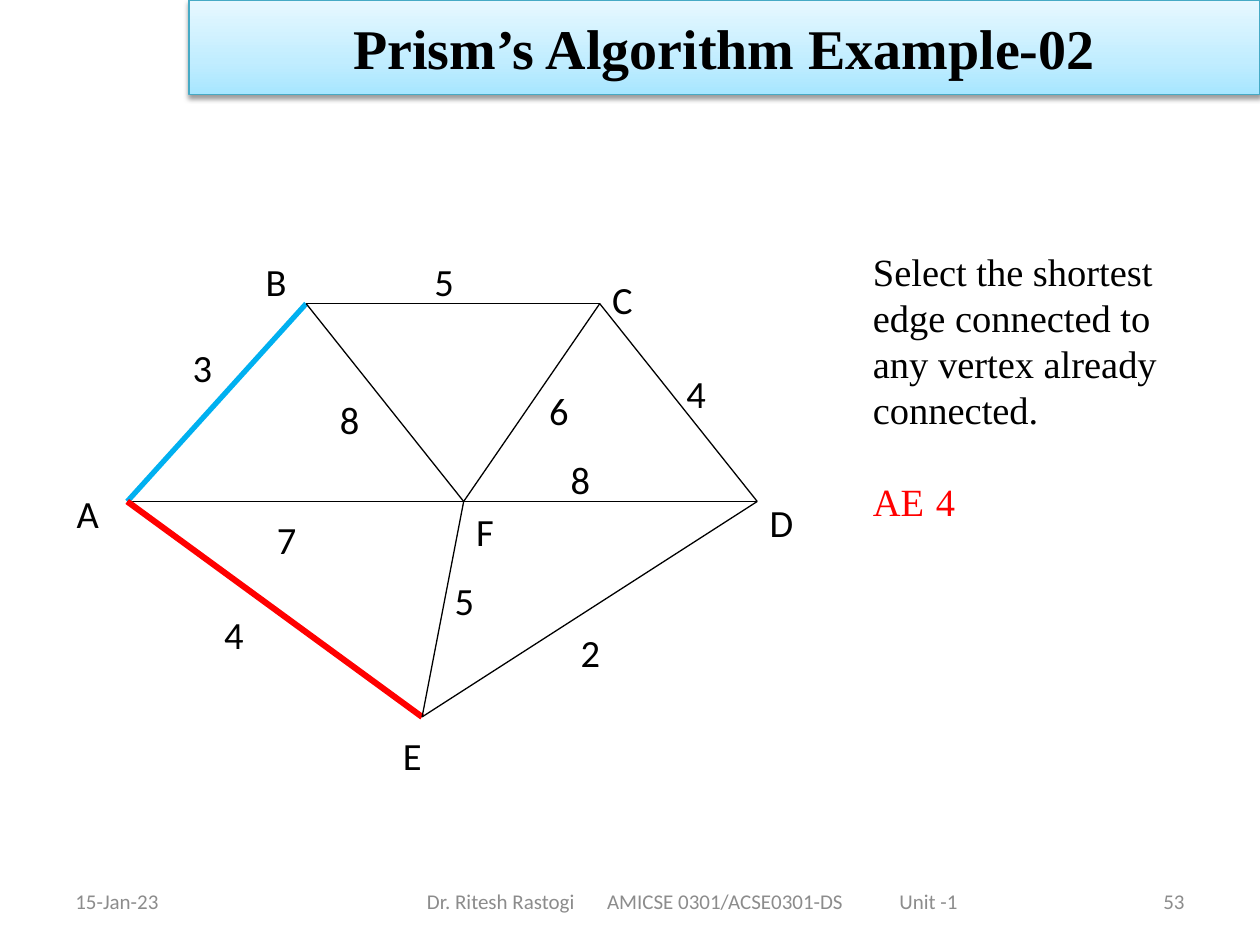
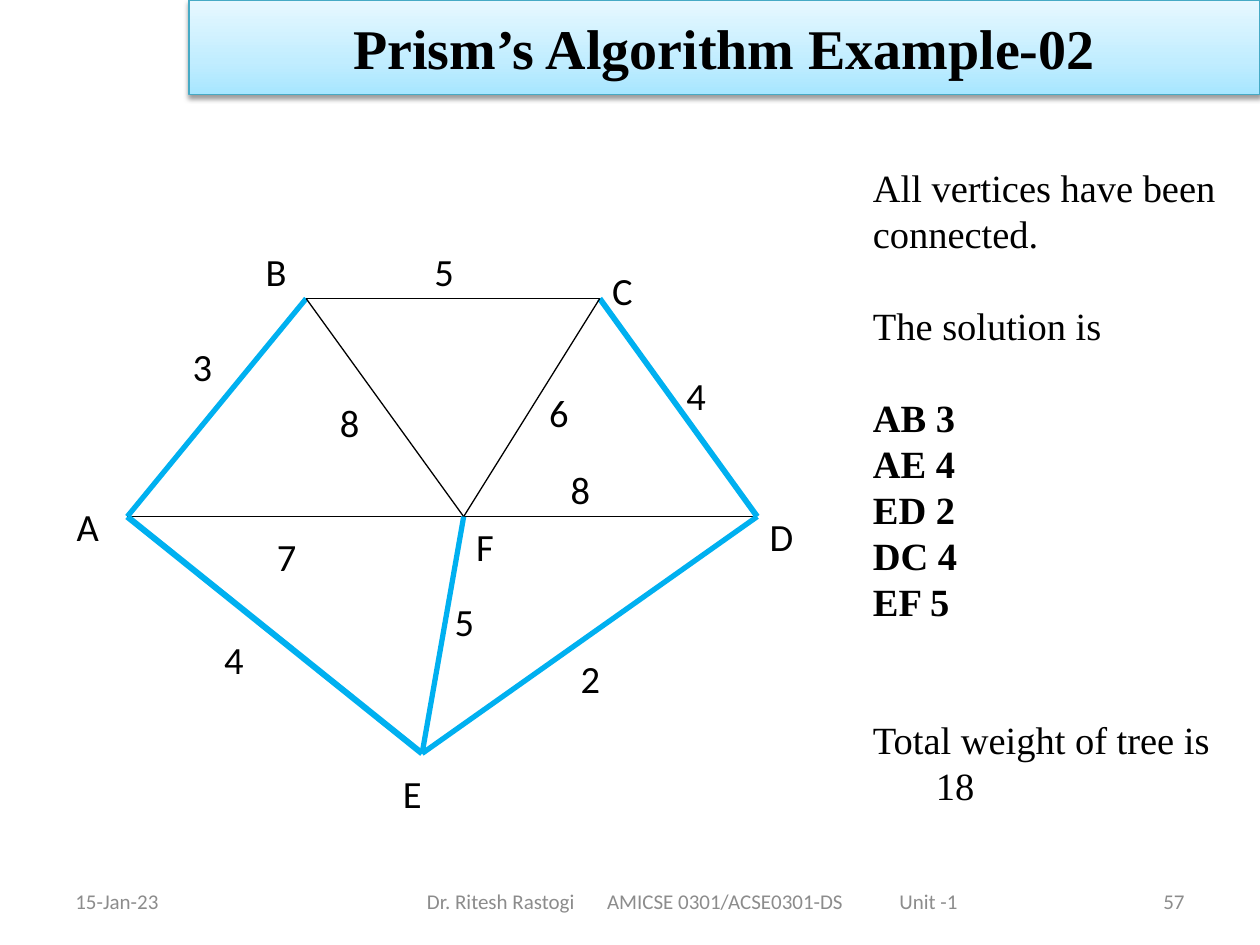
"""Build two slides that step through a minimum spanning tree example."""
import dataclasses
import typing

import lxml.etree
import pptx
import pptx.dml.color
import pptx.enum.shapes
import pptx.enum.text
import pptx.oxml.ns
import pptx.util

SCALE = 9144
BLACK, GREY, RED, SKY = "000000", "8C8C8C", "FF0000", "00B0F0"
BAND_LINE = "46AAC5"
BAND_STOPS = ((0, "A7E6FF"), (35, "C1EDFF"), (100, "E7F8FF"))
ALIGN = pptx.enum.text.PP_ALIGN
ANCHOR = pptx.enum.text.MSO_ANCHOR
LABEL_FONT = {"name": "Calibri", "size": pptx.util.Pt(22)}
FOOTER_FONT = {"name": "Calibri", "size": pptx.util.Pt(12)}
REMARK_FONT = {"name": "Times New Roman", "size": pptx.util.Pt(22)}
TITLE_FONT = {"name": "Times New Roman", "size": pptx.util.Pt(32), "bold": True}
REMARK_LINE = 26.3
REMARK_INDENT = 50
FOOTER_TOP, FOOTER_HEIGHT = 695, 40
FOOTER_TABS = (143, 375)
THIN = 0.75


class Area(typing.NamedTuple):
    left: int
    top: int
    width: int
    height: int


class Vertex(typing.NamedTuple):
    x: int
    y: int
    label_x: int
    label_y: int


class Edge(typing.NamedTuple):
    ends: str
    weight: int
    label_x: int
    label_y: int


class Stroke(typing.NamedTuple):
    colour: str
    width: float


class Remark(typing.NamedTuple):
    text: str
    blank_lines: int = 0
    bold: bool = False
    colour: str = BLACK


@dataclasses.dataclass
class Step:
    number: int
    graph_top: int
    stretch: float
    chosen: dict[str, Stroke]
    remark_area: Area
    remarks: list[Remark]


GRAPH_TOP = 200
VERTICES = {
    "A": Vertex(101, 398, 51, 384),
    "F": Vertex(368, 398, 368, 398),
    "B": Vertex(243, 241, 201, 200),
    "C": Vertex(476, 241, 476, 214),
    "D": Vertex(601, 398, 601, 391),
    "E": Vertex(335, 569, 310, 576),
}
EDGES = [
    Edge("AB", 3, 143, 268),
    Edge("BC", 5, 335, 200),
    Edge("CD", 4, 535, 289),
    Edge("AF", 7, 210, 405),
    Edge("FD", 8, 443, 357),
    Edge("BF", 8, 260, 309),
    Edge("FC", 6, 426, 302),
    Edge("AE", 4, 168, 480),
    Edge("EF", 5, 351, 453),
    Edge("ED", 2, 451, 494),
]
STEPS = [
    Step(
        53, 200, 1.0,
        {"AB": Stroke(SKY, 3), "AE": Stroke(RED, 3.5)},
        Area(683, 192, 292, 333),
        [
            Remark("Select the shortest"),
            Remark("edge connected to"),
            Remark("any vertex already"),
            Remark("connected."),
            Remark("AE\t4", 1, colour=RED),
        ],
    ),
    Step(
        57, 192, 1.1,
        {
            "AB": Stroke(SKY, 3),
            "CD": Stroke(SKY, 3.25),
            "AE": Stroke(SKY, 3.5),
            "EF": Stroke(SKY, 3),
            "ED": Stroke(SKY, 3),
        },
        Area(683, 125, 300, 565),
        [
            Remark("All vertices have been"),
            Remark("connected."),
            Remark("The solution is", 1),
            Remark("AB 3", 1, True),
            Remark("AE 4", bold=True),
            Remark("ED 2", bold=True),
            Remark("DC 4", bold=True),
            Remark("EF 5", bold=True),
            Remark("Total weight of tree is 18", 2),
        ],
    ),
]


def px(length: float) -> int:
    """Turn px into EMU."""
    return round(length) * SCALE


def rgb(colour: str) -> pptx.dml.color.RGBColor:
    """Turn a hex string into a colour."""
    return pptx.dml.color.RGBColor.from_string(colour)


def add_child(parent, tag: str, **attributes):
    """Append an XML child element with its attributes."""
    return lxml.etree.SubElement(
        parent, pptx.oxml.ns.qn(tag), {key: str(value) for key, value in attributes.items()}
    )


def write(para, text: str, font: dict, colour: str = BLACK) -> None:
    """Add a formatted span to a paragraph."""
    span = para.add_run()
    span.text = text
    for name, value in font.items():
        setattr(span.font, name, value)
    span.font.color.rgb = rgb(colour)


def add_box(page, area: Area, anchor=ANCHOR.TOP):
    """Add a wrapping text box and return its frame."""
    frame = page.shapes.add_textbox(*map(px, area)).text_frame
    frame.word_wrap = True
    frame.vertical_anchor = anchor
    return frame


def add_footer(page, left: int, width: int, text: str, align=ALIGN.LEFT, tabs=()) -> None:
    """Add one footer entry, with optional tab stops."""
    area = Area(left, FOOTER_TOP, width, FOOTER_HEIGHT)
    para = add_box(page, area, ANCHOR.MIDDLE).paragraphs[0]
    para.alignment = align
    if tabs:
        stops = add_child(para._p.get_or_add_pPr(), "a:tabLst")
        for stop in tabs:
            add_child(stops, "a:tab", pos=px(stop), algn="l")
    write(para, text, FOOTER_FONT, GREY)


def add_title(page, text: str) -> None:
    """Add the gradient title band with its soft shadow."""
    band = page.shapes.add_shape(
        pptx.enum.shapes.MSO_SHAPE.RECTANGLE, *map(px, Area(150, 0, 850, 75))
    )
    band.fill.gradient()
    band.fill.gradient_angle = 90
    stops = band._element.spPr.find(".//" + pptx.oxml.ns.qn("a:gsLst"))
    for stop in list(stops):
        stops.remove(stop)
    for percent, colour in BAND_STOPS:
        add_child(add_child(stops, "a:gs", pos=percent * 1000), "a:srgbClr", val=colour)
    band.line.color.rgb = rgb(BAND_LINE)
    band.line.width = pptx.util.Pt(THIN)
    band.shadow.inherit = False
    effects = band._element.spPr.find(pptx.oxml.ns.qn("a:effectLst"))
    shadow = add_child(
        effects, "a:outerShdw", blurRad=pptx.util.Pt(3.1), dist=pptx.util.Pt(1.6),
        dir=5400000, rotWithShape=0,
    )
    add_child(add_child(shadow, "a:srgbClr", val=BLACK), "a:alpha", val=38000)
    band.text_frame.vertical_anchor = ANCHOR.MIDDLE
    para = band.text_frame.paragraphs[0]
    para.alignment = ALIGN.CENTER
    write(para, text, TITLE_FONT)


def add_graph(page, step: Step) -> None:
    """Draw the weighted graph with the chosen edges highlighted."""
    def place(y: int) -> int:
        """Map a graph height onto this step."""
        return round(step.graph_top + (y - GRAPH_TOP) * step.stretch)

    for edge in EDGES:
        start, end = (VERTICES[name] for name in edge.ends)
        stroke = step.chosen.get(edge.ends, Stroke(BLACK, THIN))
        line = page.shapes.add_connector(
            pptx.enum.shapes.MSO_CONNECTOR.STRAIGHT,
            px(start.x), px(place(start.y)), px(end.x), px(place(end.y)),
        )
        line.line.color.rgb = rgb(stroke.colour)
        line.line.width = pptx.util.Pt(stroke.width)
        add_child(line._element.spPr, "a:effectLst")
    labels = [(name, vertex.label_x, vertex.label_y) for name, vertex in VERTICES.items()]
    labels += [(str(edge.weight), edge.label_x, edge.label_y) for edge in EDGES]
    for text, left, top in labels:
        frame = add_box(page, Area(left, place(top), 50, 47))
        write(frame.paragraphs[0], text, LABEL_FONT)


def add_remarks(page, step: Step) -> None:
    """Write the explanation beside the graph with hanging indents."""
    frame = add_box(page, step.remark_area)
    for index, remark in enumerate(step.remarks):
        para = frame.add_paragraph() if index else frame.paragraphs[0]
        properties = para._p.get_or_add_pPr()
        properties.set("marL", str(px(REMARK_INDENT)))
        properties.set("indent", str(-px(REMARK_INDENT)))
        para.line_spacing = pptx.util.Pt(REMARK_LINE)
        if remark.blank_lines:
            para.space_before = pptx.util.Pt(REMARK_LINE * remark.blank_lines)
        write(para, remark.text, REMARK_FONT | {"bold": remark.bold}, remark.colour)


def main() -> None:
    """Build and save the deck."""
    deck = pptx.Presentation()
    deck.slide_width, deck.slide_height = px(1000), px(750)
    for step in STEPS:
        page = deck.slides.add_slide(deck.slide_layouts[6])
        add_footer(page, 50, 233, "15-Jan-23")
        add_footer(
            page, 329, 442, "Dr. Ritesh Rastogi\tAMICSE 0301/ACSE0301-DS\tUnit -1",
            tabs=FOOTER_TABS,
        )
        add_footer(page, 717, 233, str(step.number), ALIGN.RIGHT)
        add_title(page, "Prism’s Algorithm Example-02")
        add_graph(page, step)
        add_remarks(page, step)
    deck.save("out.pptx")


if __name__ == "__main__":
    main()
